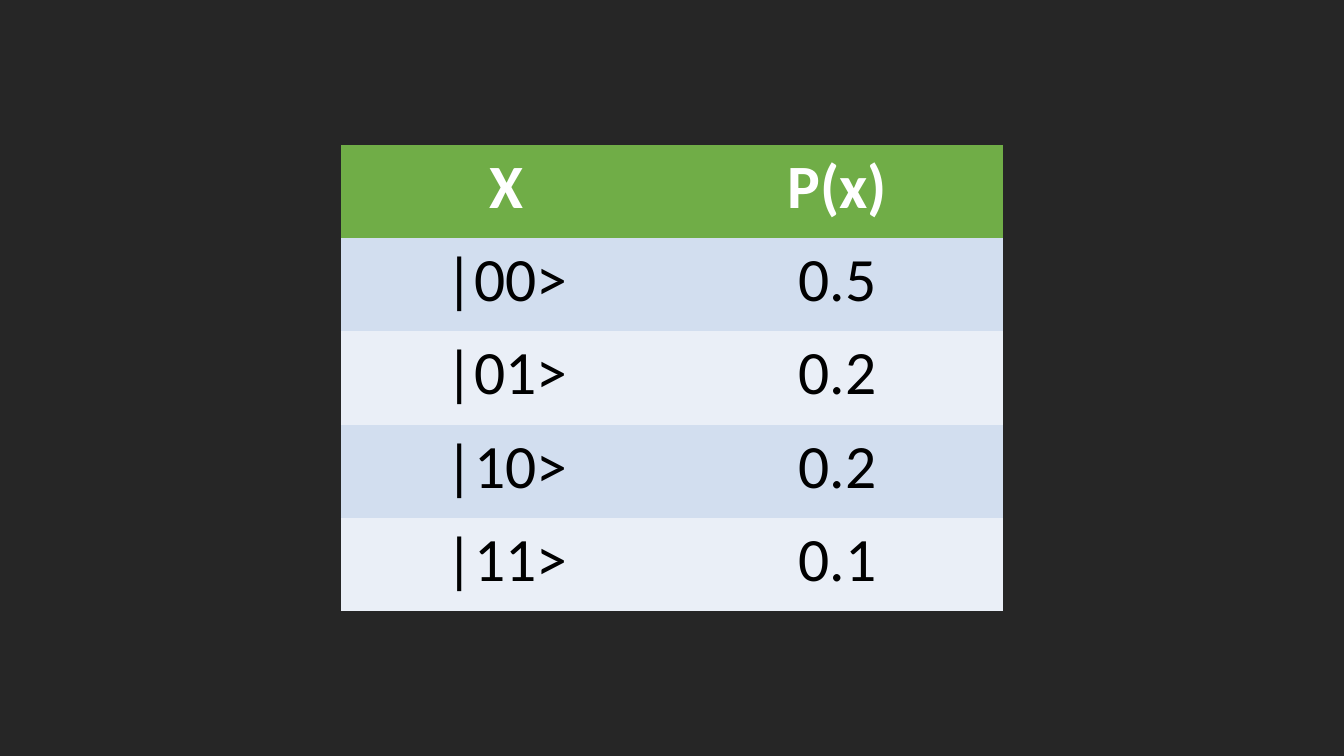
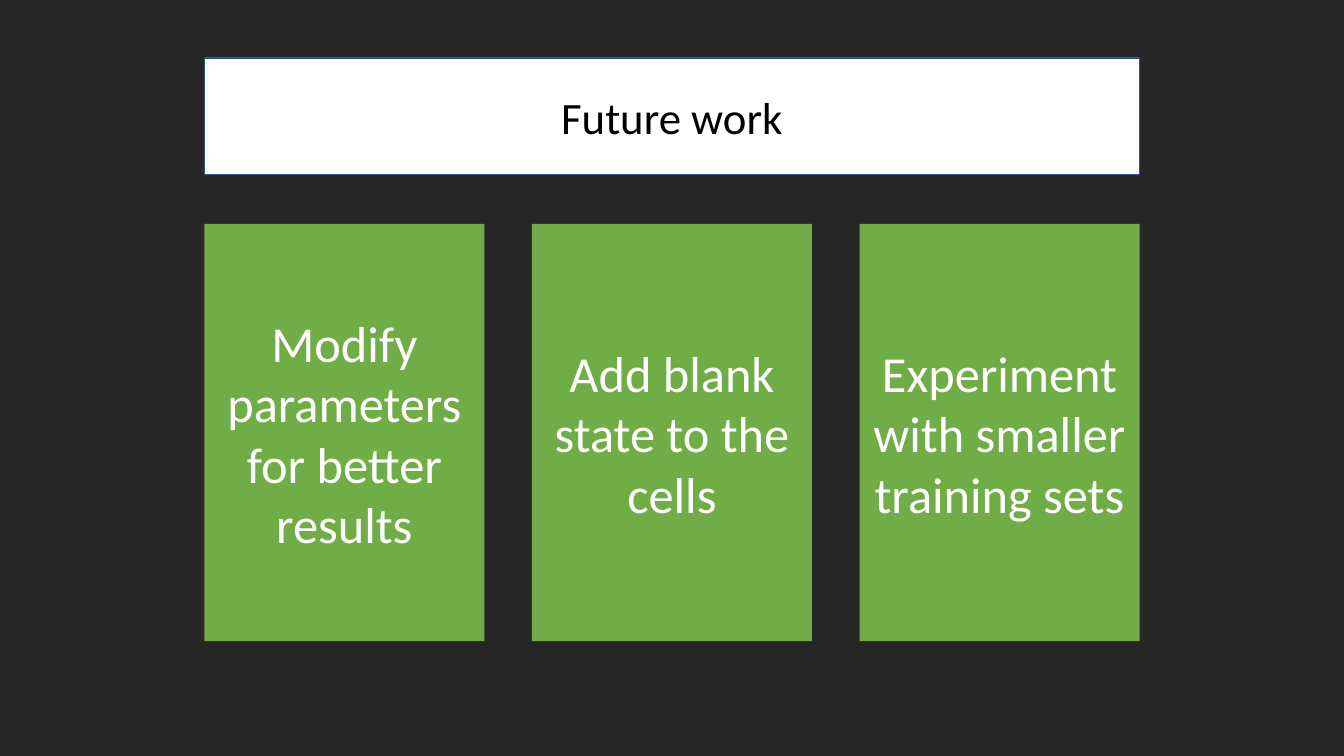
from pptx import Presentation
from pptx.dml.color import RGBColor
from pptx.enum.shapes import MSO_SHAPE
from pptx.enum.text import MSO_ANCHOR, PP_ALIGN
from pptx.util import Pt

COLORS = {
    "back": "262626",
    "green": "70AD47",
    "white": "FFFFFF",
    "black": "000000",
    "edge": "325491",
    "band": "D2DEEF",
    "pale": "EAEFF7",
}
FONT = "Calibri"
WIDTH, HEIGHT = 960, 540
PLAIN = "{2D5ABB26-0587-4C30-8999-92F81FD0307C}"


def color(name):
    return RGBColor.from_string(COLORS[name])


def paint(fill, name):
    fill.solid()
    fill.fore_color.rgb = color(name)


def write(frame, text, size, ink, bold=False):
    para = frame.paragraphs[0]
    para.text = text
    para.alignment = PP_ALIGN.CENTER
    font = para.font
    font.name, font.size, font.bold = FONT, Pt(size), bold
    font.color.rgb = color(ink)


def new_slide(deck):
    slide = deck.slides.add_slide(deck.slide_layouts[6])
    paint(slide.background.fill, "back")
    return slide


def add_panel(slide, box, text, size, fill, ink, edge=None):
    panel = slide.shapes.add_shape(MSO_SHAPE.RECTANGLE, *map(Pt, box))
    panel.shadow.inherit = False
    paint(panel.fill, fill)
    if edge:
        panel.line.color.rgb = color(edge)
        panel.line.width = Pt(1)
    else:
        panel.line.fill.background()
    frame = panel.text_frame
    frame.word_wrap = True
    frame.vertical_anchor = MSO_ANCHOR.MIDDLE
    write(frame, text, size, ink)


def add_grid(slide, box, rows):
    shape = slide.shapes.add_table(len(rows), len(rows[0]), *map(Pt, box))
    table = shape.table
    table._tbl.tblPr.find("{*}tableStyleId").text = PLAIN
    for r, row in enumerate(rows):
        head = r == 0
        fill = "green" if head else ("pale", "band")[r % 2]
        for c, text in enumerate(row):
            cell = table.cell(r, c)
            paint(cell.fill, fill)
            write(cell.text_frame, text, 44, "white" if head else "black", head)


def add_cards(slide, box, texts, gap):
    left, top, width, height = box
    count = len(texts)
    size = (width - gap * (count - 1)) / count
    for i, text in enumerate(texts):
        place = (left + i * (size + gap), top, size, height)
        add_panel(slide, place, text, 36, "green", "white")


def table_slide(deck):
    width, height = 472.5, 333
    box = ((WIDTH - width) / 2, (HEIGHT - height) / 2, width, height)
    add_grid(new_slide(deck), box, [
        ("X", "P(x)"),
        ("|00>", "0.5"),
        ("|01>", "0.2"),
        ("|10>", "0.2"),
        ("|11>", "0.1"),
    ])


def future_slide(deck):
    slide = new_slide(deck)
    width = 668
    left = (WIDTH - width) / 2
    add_panel(slide, (left, 41.5, width, 83), "Future work", 32,
              "white", "black", "edge")
    add_cards(slide, (left, 160, width, 298), [
        "Modify parameters for better results",
        "Add blank state to the cells",
        "Experiment with smaller training sets",
    ], 34)


def main():
    deck = Presentation()
    deck.slide_width, deck.slide_height = Pt(WIDTH), Pt(HEIGHT)
    table_slide(deck)
    future_slide(deck)
    deck.save("out.pptx")


if __name__ == "__main__":
    main()
